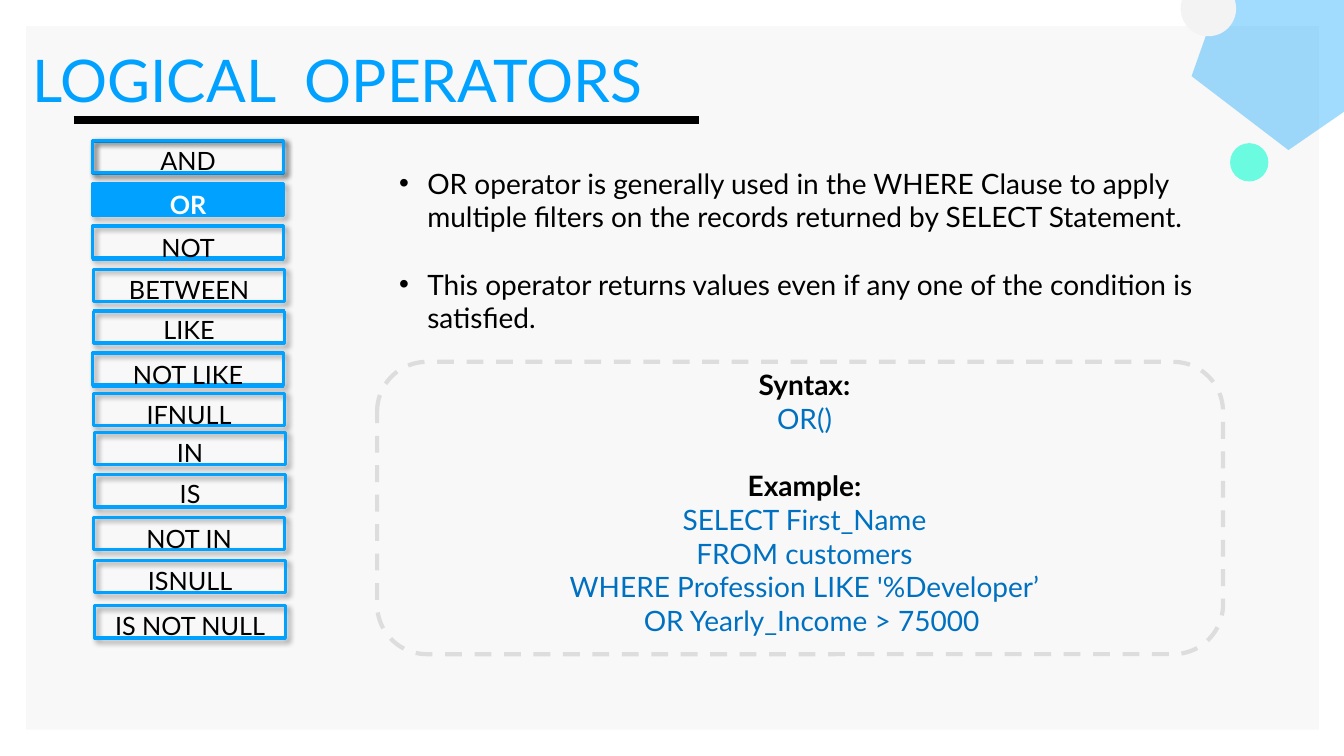
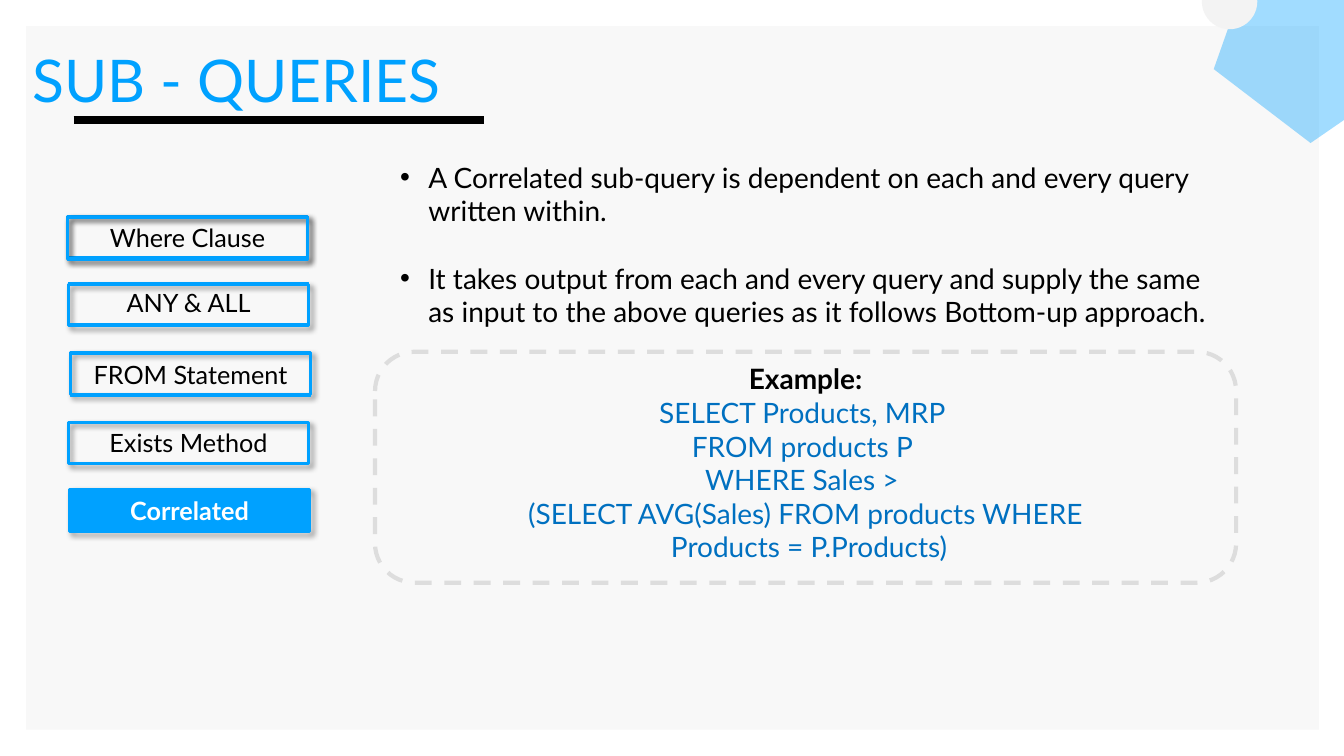
from lxml.etree import SubElement
from pptx import Presentation
from pptx.dml.color import RGBColor
from pptx.enum.dml import MSO_LINE as Dash
from pptx.enum.shapes import MSO_CONNECTOR as Connector, MSO_SHAPE as Shape
from pptx.enum.text import MSO_ANCHOR as Anchor, PP_ALIGN as Align
from pptx.oxml.ns import qn
from pptx.util import Inches, Pt

SKY = RGBColor(0x00, 0xA1, 0xFF)
TEAL = RGBColor(0x00, 0xFF, 0xD0)
CODE_BLUE = RGBColor(0x00, 0x70, 0xC0)
BLACK = RGBColor(0x00, 0x00, 0x00)
WHITE = RGBColor(0xFF, 0xFF, 0xFF)
PANEL_GREY = RGBColor(0xF8, 0xF8, 0xF8)
DISC_GREY = RGBColor(0xF3, 0xF3, 0xF3)
DASH_GREY = RGBColor(0xDD, 0xDD, 0xDD)

TITLE = {"name": "Lato", "size": Pt(42), "bold": False}
BODY = {"name": "Lato", "size": Pt(20), "bold": False}
BODY_BOLD = {**BODY, "bold": True}
LABEL = {"name": "Lato", "size": Pt(18), "bold": False}
LABEL_BOLD = {**LABEL, "bold": True}
MARGINS = ("margin_left", "margin_top", "margin_right", "margin_bottom")
BLANK_LINE = Pt(24)


class Deck:
    """Shared style and the slide being built."""

    def __init__(self):
        self.prs = Presentation()
        self.prs.slide_width = Inches(13.33)
        self.prs.slide_height = Inches(7.5)
        self.slide = None

    def new_slide(self):
        self.slide = self.prs.slides.add_slide(self.prs.slide_layouts[6])
        self.shape(Shape.RECTANGLE, (0.26, 0.26, 12.82, 6.98), fill=PANEL_GREY)

    def shape(self, kind, box, fill=None, alpha=None, line=None, weight=0.75):
        shape = self.slide.shapes.add_shape(kind, *map(Inches, box))
        shape.shadow.inherit = False
        if fill is None:
            shape.fill.background()
        else:
            shape.fill.solid()
            shape.fill.fore_color.rgb = fill
        if alpha is not None:
            color = shape._element.spPr.find(qn("a:solidFill"))[0]
            SubElement(color, qn("a:alpha"), val=str(alpha * 1000))
        if line is None:
            shape.line.fill.background()
        else:
            shape.line.color.rgb = line
            shape.line.width = Pt(weight)
        return shape

    def shadow(self, shape):
        effects = shape._element.spPr.find(qn("a:effectLst"))
        outer = SubElement(effects, qn("a:outerShdw"), blurRad=str(Pt(4)),
                           dist=str(Pt(3)), dir="2700000", algn="tl", rotWithShape="0")
        color = SubElement(outer, qn("a:srgbClr"), val=str(BLACK))
        SubElement(color, qn("a:alpha"), val="40000")

    def frame_text(self, shape, margins=(0.1, 0.05, 0.1, 0.05)):
        frame = shape.text_frame
        frame.word_wrap = True
        frame.vertical_anchor = Anchor.TOP
        for side, margin in zip(MARGINS, margins):
            setattr(frame, side, Inches(margin))
        return frame

    def text_box(self, box, margins=(0.1, 0.05, 0.1, 0.05)):
        return self.frame_text(self.slide.shapes.add_textbox(*map(Inches, box)), margins)

    def add_text(self, paragraph, text, style, color, align=Align.LEFT):
        paragraph.alignment = align
        run = paragraph.add_run()
        run.text = text
        for attribute, value in style.items():
            setattr(run.font, attribute, value)
        run.font.color.rgb = color

    def bullet(self, paragraph):
        props = paragraph._p.get_or_add_pPr()
        props.set("marL", str(Inches(0.31)))
        props.set("indent", str(Inches(-0.28)))
        color = SubElement(props, qn("a:buClr"))
        SubElement(color, qn("a:srgbClr"), val=str(BLACK))
        SubElement(props, qn("a:buFont"), typeface="Arial")
        SubElement(props, qn("a:buChar"), char="•")

    def title(self, text, rule_end):
        frame = self.text_box((0.32, 0.42, 13.01, 0.55), (0, 0.01, 0, 0))
        self.add_text(frame.paragraphs[0], text, TITLE, SKY)
        rule = self.slide.shapes.add_connector(
            Connector.STRAIGHT, *map(Inches, (0.73, 1.19, rule_end, 1.19)))
        rule.line.color.rgb = BLACK
        rule.line.width = Pt(6)
        SubElement(rule._element.spPr, qn("a:effectLst"))

    def corner(self, pentagon_at, disc_at):
        pentagon = self.shape(Shape.REGULAR_PENTAGON, (*pentagon_at, 1.96, 1.86), SKY, 37)
        pentagon.rotation = 325.4
        self.shape(Shape.OVAL, (*disc_at, 0.55, 0.55), DISC_GREY)

    def menu(self, size, items, active):
        """Items hold name, left, frame top and label top."""
        for index, (name, left, frame_top, label_top) in enumerate(items):
            # The first entry has a doubled frame, so a deeper shadow
            for top in (frame_top, label_top)[:2 if index == 0 else 1]:
                self.shadow(self.shape(Shape.RECTANGLE, (left, top, *size),
                                       line=SKY, weight=2.25))
            chosen = name == active
            label = self.shape(Shape.RECTANGLE, (left, label_top, *size),
                               fill=SKY if chosen else None, line=SKY)
            self.add_text(self.frame_text(label).paragraphs[0], name,
                          LABEL_BOLD if chosen else LABEL,
                          WHITE if chosen else BLACK, Align.CENTER)

    def body(self, box, points, sections):
        """Bullet points, then headed code sections, a line apart."""
        frame = self.text_box(box)
        for index, point in enumerate(points):
            paragraph = frame.add_paragraph() if index else frame.paragraphs[0]
            self.bullet(paragraph)
            if index:
                paragraph.space_before = BLANK_LINE
            self.add_text(paragraph, point, BODY, BLACK)
        for heading, code in sections:
            paragraph = frame.add_paragraph()
            paragraph.space_before = BLANK_LINE
            self.add_text(paragraph, heading, BODY_BOLD, BLACK, Align.CENTER)
            for code_line in code:
                self.add_text(frame.add_paragraph(), code_line, BODY, CODE_BLUE, Align.CENTER)

    def dashed_panel(self, box):
        panel = self.shape(Shape.ROUNDED_RECTANGLE, box, line=DASH_GREY, weight=3)
        panel.line.dash_style = Dash.DASH
        panel.adjustments[0] = 0.17


def logical_operators(deck):
    deck.new_slide()
    deck.corner((11.77, -0.55), (11.71, -0.19))
    deck.shape(Shape.OVAL, (12.2, 1.42, 0.38, 0.38), TEAL, 57)
    deck.body(
        (3.83, 1.6, 8.3, 5.82),
        ["OR operator is generally used in the WHERE Clause to apply multiple "
         "filters on the records returned by SELECT Statement.",
         "This operator returns values even if any one of the condition is satisfied."],
        [("Syntax:", ["OR()"]),
         ("Example:", ["SELECT First_Name",
                       "FROM customers",
                       "WHERE Profession LIKE '%Developer’",
                       "  OR Yearly_Income > 75000"])])
    deck.dashed_panel((3.74, 3.59, 8.39, 2.9))
    deck.menu((1.89, 0.32), [
        ("AND", 0.92, 1.4, 1.39),
        ("OR", 0.92, 1.82, 1.83),
        ("NOT", 0.92, 2.24, 2.26),
        ("BETWEEN", 0.93, 2.67, 2.67),
        ("LIKE", 0.93, 3.09, 3.07),
        ("NOT LIKE", 0.92, 3.5, 3.52),
        ("IFNULL", 0.93, 3.9, 3.91),
        ("IN", 0.94, 4.29, 4.29),
        ("IS", 0.94, 4.71, 4.7),
        ("NOT IN", 0.93, 5.13, 5.14),
        ("ISNULL", 0.94, 5.56, 5.56),
        ("IS NOT NULL", 0.94, 6.01, 6.01),
    ], active="OR")
    deck.title("LOGICAL  OPERATORS", 6.93)


def sub_queries(deck):
    deck.new_slide()
    deck.corner((11.99, -0.62), (11.92, -0.26))
    deck.title("SUB - QUERIES", 4.8)
    deck.body(
        (3.84, 1.54, 8.3, 5.45),
        ["A Correlated sub-query is dependent on each and every query written within.",
         "It takes output from each and every query and supply the same as input "
         "to the above queries as it follows Bottom-up approach."],
        [("Example:", ["SELECT Products, MRP ",
                       "FROM products P ",
                       "WHERE Sales > ",
                       "(SELECT AVG(Sales) FROM products WHERE",
                       " Products = P.Products)"])])
    deck.dashed_panel((3.72, 3.49, 8.54, 2.29))
    deck.menu((2.38, 0.41), [
        ("Where Clause", 0.67, 2.15, 2.16),
        ("ANY & ALL", 0.68, 2.82, 2.8),
        ("FROM Statement", 0.7, 3.5, 3.52),
        ("Exists Method", 0.68, 4.19, 4.19),
        ("Correlated", 0.69, 4.86, 4.86),
    ], active="Correlated")


def main():
    deck = Deck()
    logical_operators(deck)
    sub_queries(deck)
    deck.prs.save("out.pptx")


if __name__ == "__main__":
    main()
